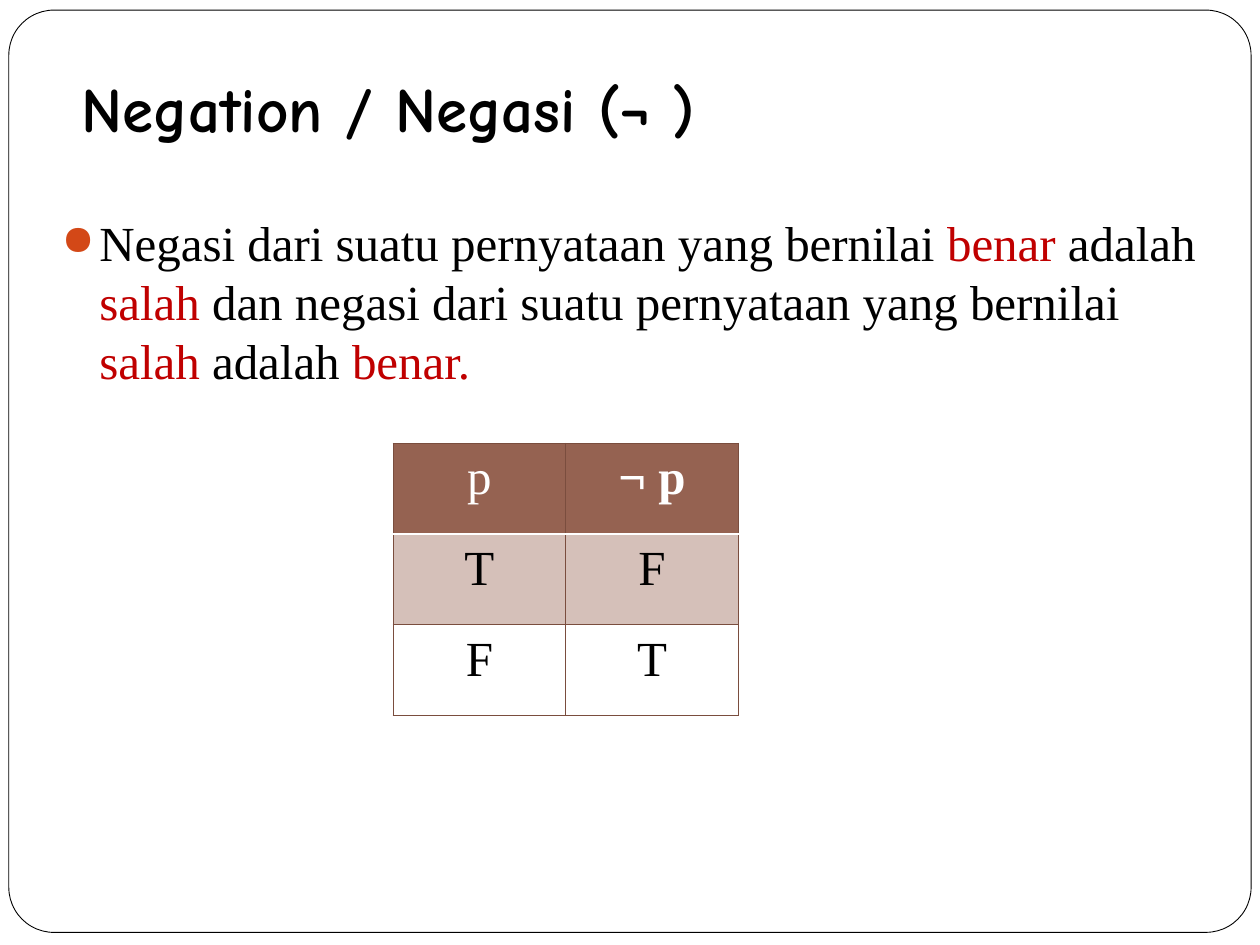
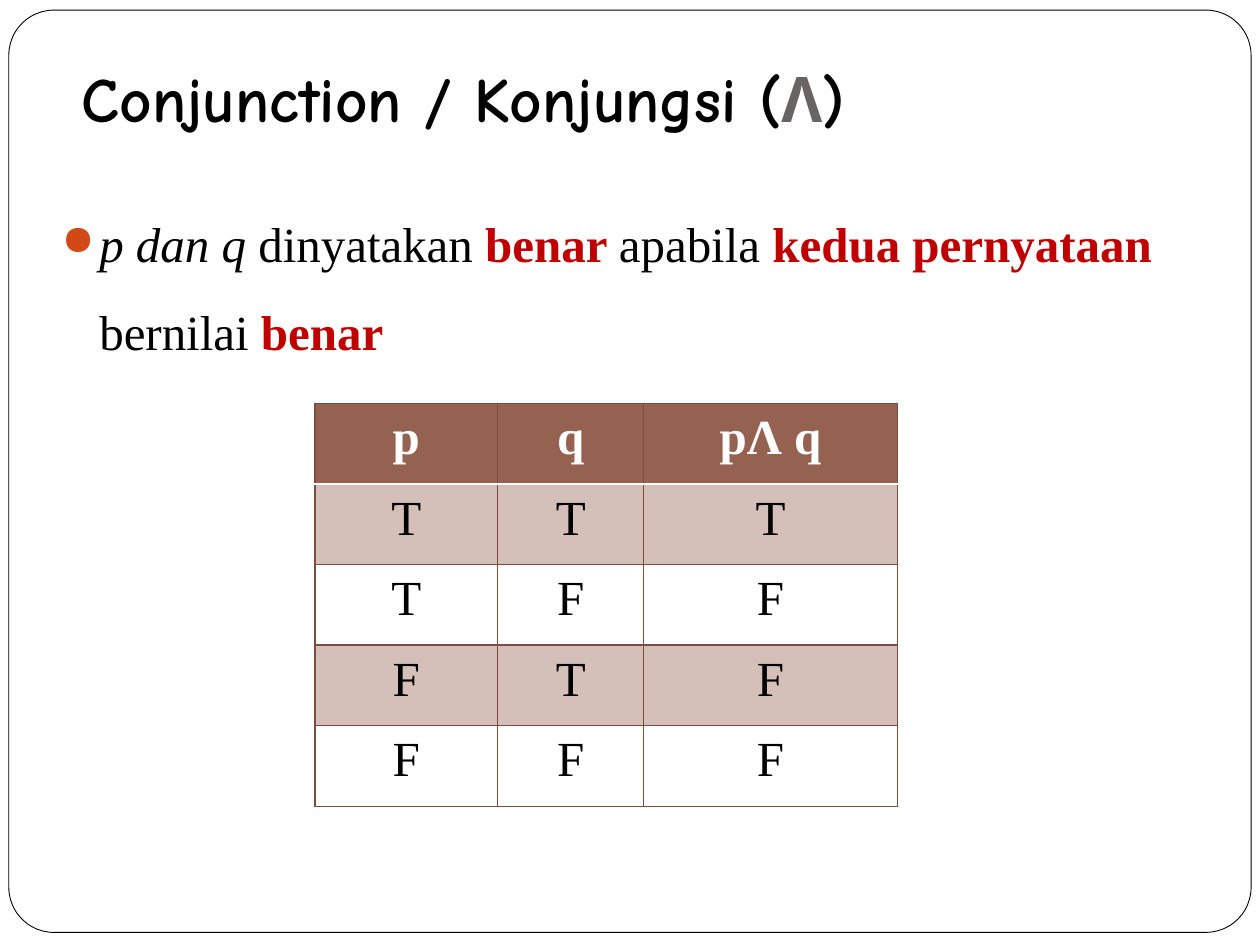
"""Build two slides on negation and conjunction, each with a truth table."""
import pptx
import pptx.util
import pptx.dml.color
import pptx.enum.shapes
import pptx.enum.text
import pptx.oxml
import pptx.oxml.ns
from pptx.util import Inches, Pt

RGBColor = pptx.dml.color.RGBColor
BLACK = RGBColor(0x00, 0x00, 0x00)
WHITE = RGBColor(0xFF, 0xFF, 0xFF)
RED = RGBColor(0xC0, 0x00, 0x00)
GREY = RGBColor(0x69, 0x64, 0x64)
ORANGE = RGBColor(0xD3, 0x48, 0x17)
BROWN = RGBColor(0x95, 0x62, 0x51)
BAND = RGBColor(0xD5, 0xC0, 0xB9)
BORDER = RGBColor(0x7A, 0x4D, 0x3E)
TITLE_FONT = "Comic Neue"
BODY_FONT = "Times New Roman"
NS = pptx.oxml.ns.nsdecls("a")

SLIDES = [
    {
        "title": [("Negation / Negasi (¬ )", BLACK, "b")],
        "title_height": 0.95,
        "body": [
            ("Negasi dari suatu pernyataan yang bernilai ", BLACK, ""),
            ("benar", RED, ""),
            (" adalah ", BLACK, ""),
            ("salah", RED, ""),
            (" dan negasi dari suatu pernyataan yang bernilai ", BLACK, ""),
            ("salah", RED, ""),
            (" adalah ", BLACK, ""),
            ("benar.", RED, ""),
        ],
        "body_top": 1.64, "body_height": 1.77,
        "space_before": 5.8, "line_spacing": 1.0,
        "table_at": (3.12, 3.52), "cols": [1.37, 1.37], "row_height": 0.72,
        "header": [("p", ""), ("¬ p", "b")],
        "rows": ["TF", "FT"],
    },
    {
        "title": [("Conjunction / Konjungsi (", BLACK, "b"),
                  ("Λ", GREY, "b"), (")", BLACK, "b")],
        "title_height": 0.87,
        "body": [
            ("p dan q ", BLACK, "i"),
            ("dinyatakan ", BLACK, ""),
            ("benar ", RED, "b"),
            ("apabila ", BLACK, ""),
            ("kedua pernyataan ", RED, "b"),
            ("bernilai ", BLACK, ""),
            ("benar", RED, "b"),
        ],
        "body_top": 1.41, "body_height": 1.53,
        "space_before": 0, "line_spacing": 1.5,
        "table_at": (2.5, 3.2), "cols": [1.45, 1.16, 2.01], "row_height": 0.64,
        "header": [("p", "b"), ("q", "b"), ("pΛ q", "b")],
        "rows": ["TTT", "TFF", "FTF", "FFF"],
    },
]


def add_runs(p, runs, font, size):
    for text, color, style in runs:
        r = p.add_run()
        r.text = text
        r.font.name = font
        r.font.size = Pt(size)
        r.font.color.rgb = color
        r.font.bold = "b" in style
        r.font.italic = "i" in style


def add_border(cell, side, color, width):
    cell._tc.get_or_add_tcPr().append(pptx.oxml.parse_xml(
        f'<a:ln{side} {NS} w="{Pt(width)}"><a:solidFill>'
        f'<a:srgbClr val="{color}"/></a:solidFill></a:ln{side}>'))


prs = pptx.Presentation()
prs.slide_width = Inches(10)
prs.slide_height = Inches(7.5)

for content in SLIDES:
    s = prs.slides.add_slide(prs.slide_layouts[6])

    frame = s.shapes.add_shape(
        pptx.enum.shapes.MSO_SHAPE.ROUNDED_RECTANGLE,
        Inches(0.07), Inches(0.08), Inches(9.86), Inches(7.32))
    frame.adjustments[0] = 0.049
    frame.shadow.inherit = False
    frame.fill.solid()
    frame.fill.fore_color.rgb = WHITE
    frame.line.color.rgb = BLACK
    frame.line.width = Pt(0.5)

    title = s.shapes.add_textbox(
        Inches(0.55), Inches(0.3), Inches(8.95), Inches(content["title_height"]))
    tf = title.text_frame
    tf.word_wrap = True
    tf.vertical_anchor = pptx.enum.text.MSO_ANCHOR.BOTTOM
    tf.margin_bottom = Inches(0.1)
    add_runs(tf.paragraphs[0], content["title"], TITLE_FONT, 36)

    body = s.shapes.add_textbox(
        Inches(0.39), Inches(content["body_top"]),
        Inches(9.3), Inches(content["body_height"]))
    tf = body.text_frame
    tf.word_wrap = True
    p = tf.paragraphs[0]
    p.space_before = Pt(content["space_before"])
    p.line_spacing = content["line_spacing"]
    pPr = p._p.get_or_add_pPr()
    pPr.set("marL", str(Inches(0.3)))
    pPr.set("indent", str(-Inches(0.3)))
    for bullet in (f'<a:buClr {NS}><a:srgbClr val="{ORANGE}"/></a:buClr>',
                   f'<a:buSzPct {NS} val="85000"/>',
                   f'<a:buChar {NS} char="●"/>'):
        pPr.append(pptx.oxml.parse_xml(bullet))
    add_runs(p, content["body"], BODY_FONT, 28)

    left, top = content["table_at"]
    cols, row_height = content["cols"], content["row_height"]
    rows = [[(text, WHITE, style) for text, style in content["header"]]]
    rows += [[(value, BLACK, "") for value in row] for row in content["rows"]]
    table = s.shapes.add_table(
        len(rows), len(cols), Inches(left), Inches(top),
        Inches(sum(cols)), Inches(row_height * len(rows))).table
    table.first_row = False
    table.horz_banding = False
    for col, width in zip(table.columns, cols):
        col.width = Inches(width)
    for i, row in enumerate(rows):
        table.rows[i].height = Inches(row_height)
        for j, run in enumerate(row):
            cell = table.cell(i, j)
            cell.margin_left = cell.margin_right = Inches(0.12)
            cell.margin_top = cell.margin_bottom = Inches(0.06)
            for side in "LRTB":
                if (i, side) in ((0, "B"), (1, "T")):
                    add_border(cell, side, WHITE, 1)
                else:
                    add_border(cell, side, BORDER, 0.75)
            if i == 0 or i % 2:
                cell.fill.solid()
                cell.fill.fore_color.rgb = BAND if i else BROWN
            else:
                cell.fill.background()
            p = cell.text_frame.paragraphs[0]
            p.alignment = pptx.enum.text.PP_ALIGN.CENTER
            add_runs(p, [run], BODY_FONT, 28)

prs.save("out.pptx")
